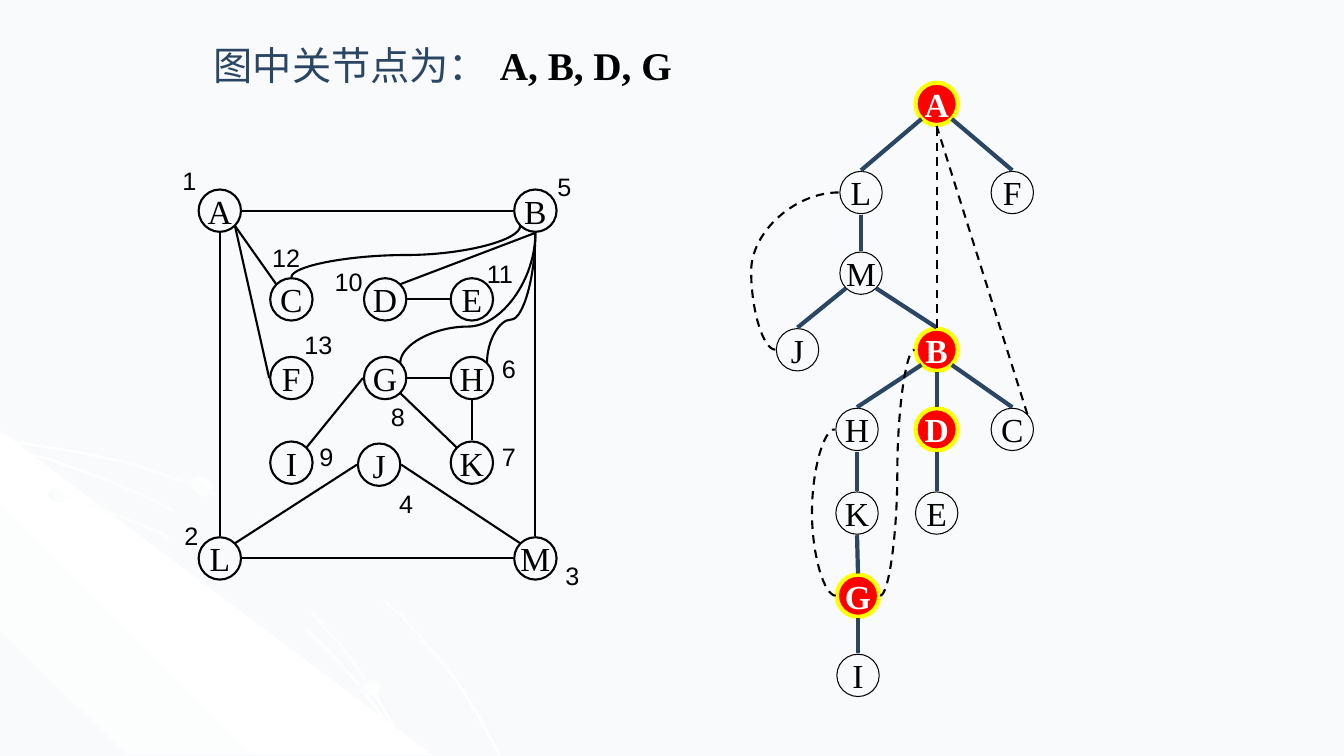
from lxml import etree
from pptx import Presentation
from pptx.dml.color import RGBColor
from pptx.enum.dml import MSO_LINE
from pptx.enum.shapes import MSO_CONNECTOR, MSO_SHAPE
from pptx.enum.text import MSO_ANCHOR, PP_ALIGN
from pptx.oxml.ns import qn
from pptx.util import Inches, Pt

SERIF, SANS = "Times New Roman", "Arial"
BLACK, NAVY, WHITE, MIST = "000000", "2B4663", "FFFFFF", "F9FAFB"
RED, YELLOW = "FF0000", "FFFF00"
DIAMETER = 0.42
REACH, DIAGONAL = 0.22, 0.15
SITES = {"n": (0, -REACH), "s": (0, REACH), "e": (REACH, 0), "w": (-REACH, 0),
         "ne": (DIAGONAL, -DIAGONAL), "nw": (-DIAGONAL, -DIAGONAL),
         "se": (DIAGONAL, DIAGONAL), "sw": (-DIAGONAL, DIAGONAL)}

RIBBONS = [
    [(0, 4.35), (0.37, 4.41), (0.76, 4.47), (1.31, 4.59), (1.82, 4.77), (2.32, 4.97),
     (2.79, 5.21), (3.22, 5.48), (3.63, 5.78), (4, 6.11), (4.33, 6.48), (4.53, 6.73),
     (4.69, 6.98), (4.83, 7.23), (4.96, 7.49)],
    [(0, 4.75), (0.54, 4.88), (1.05, 5.05), (1.56, 5.26), (2.03, 5.49), (2.46, 5.76),
     (2.86, 6.06), (3.23, 6.4), (3.55, 6.76), (3.82, 7.12), (3.94, 7.3), (4.04, 7.49)],
    [(0, 4.42), (0.51, 4.55), (1.01, 4.73), (1.49, 4.93), (1.91, 5.16), (2.33, 5.43),
     (2.72, 5.73), (3.06, 6.03), (3.39, 6.39), (3.58, 6.65), (3.76, 6.93), (3.91, 7.2),
     (4.04, 7.49)],
]
HILL = [(4.29, 7.49), (0, 7.49), (0, 4.27)]
DOTS = [(0.48, 4.83, 0.2, 0.15, 315), (3.56, 6.74, 0.21, 0.16, 45),
        (1.83, 4.73, 0.28, 0.21, 315)]

GRAPH = {"A": (2.18, 2.09), "B": (5.31, 2.09), "L": (2.18, 5.54), "M": (5.31, 5.54),
         "C": (2.89, 2.97), "F": (2.89, 3.75), "I": (2.89, 4.59), "D": (3.82, 2.97),
         "E": (4.68, 2.97), "G": (3.82, 3.75), "H": (4.68, 3.75), "J": (3.76, 4.61),
         "K": (4.68, 4.59)}
GRAPH_EDGES = ["A e B w", "A s L n", "L e M w", "M n B s", "L ne J w", "J e M nw",
               "I ne G w", "A se C nw", "A se F w", "D e E w", "G e H w", "H s K n",
               "G se K nw", "B s D ne"]
GRAPH_CURVES = [("B sw C n", 2.53), ("B s H ne", 3.17), ("B s G ne", 3.24)]
VISIT_ORDER = {"1": (1.71, 1.59), "2": (1.73, 5.11), "3": (5.51, 5.51),
               "4": (3.86, 4.8), "5": (5.43, 1.65), "6": (4.88, 3.46),
               "7": (4.88, 4.33), "8": (3.78, 3.93), "9": (3.07, 4.33),
               "10": (3.22, 2.59), "11": (4.73, 2.51), "12": (2.6, 2.36),
               "13": (2.92, 3.22)}

TREE = {"A": (9.29, 1.03), "B": (9.29, 3.47), "L": (8.54, 1.91), "M": (8.54, 2.71),
        "F": (10.04, 1.91), "J": (7.91, 3.47), "D": (9.29, 4.26), "C": (10.04, 4.26),
        "H": (8.5, 4.26), "K": (8.5, 5.09), "G": (8.51, 5.91), "I": (8.51, 6.7),
        "E": (9.29, 5.09)}
ARTICULATION = "ABDG"
TREE_EDGES = ["J n M sw", "L s M n", "M se B n", "L n A sw", "A se F n", "B sw H n",
              "B s D n", "B se C n", "D s E n", "H s K n", "G s I n", "K s G n"]
BACK_EDGES = ["B n A s", "C ne A s"]
BACK_CURVES = [("J w L w", 7.45), ("G w H w", 8.05), ("G e B w", 8.9)]


def rgb(value):
    return RGBColor.from_string(value)


def fill_gradient(shape, colours, angle):
    shape.shadow.inherit = False
    shape.line.fill.background()
    shape.fill.gradient()
    gradient = shape._element.spPr.find(qn("a:gradFill"))
    stops = gradient.find(qn("a:gsLst"))
    for stop in list(stops):
        stops.remove(stop)
    for i, colour in enumerate(colours):
        position = str(i * 100000 // (len(colours) - 1))
        stop = etree.SubElement(stops, qn("a:gs"), pos=position)
        etree.SubElement(stop, qn("a:srgbClr"), val=colour)
    gradient.find(qn("a:lin")).set("ang", str(angle * 60000))


def add_outline(slide, points, colours, angle):
    corners = [(Inches(x), Inches(y)) for x, y in points]
    builder = slide.shapes.build_freeform(*corners[0])
    builder.add_line_segments(corners[1:], close=True)
    fill_gradient(builder.convert_to_shape(), colours, angle)


def add_ribbon(slide, crest):
    underside = [(max(x - 0.02, 0), min(y + 0.02, 7.49)) for x, y in reversed(crest)]
    add_outline(slide, crest + underside, [WHITE, MIST, WHITE], 45)


def add_backdrop(slide):
    slide.background.fill.solid()
    slide.background.fill.fore_color.rgb = rgb(MIST)
    add_ribbon(slide, RIBBONS[0])
    add_outline(slide, HILL, [MIST, WHITE, MIST], 315)
    for crest in RIBBONS[1:]:
        add_ribbon(slide, crest)
    for x, y, width, height, angle in DOTS:
        dot = slide.shapes.add_shape(MSO_SHAPE.OVAL, Inches(x), Inches(y),
                                     Inches(width), Inches(height))
        fill_gradient(dot, [MIST, WHITE], angle)


def write(shape, text, size, font, colour, bold=False, align=PP_ALIGN.LEFT,
          anchor=MSO_ANCHOR.TOP):
    frame = shape.text_frame
    frame.text = text
    frame.word_wrap = False
    frame.vertical_anchor = anchor
    paragraph = frame.paragraphs[0]
    paragraph.alignment = align
    paragraph.font.size = Pt(size)
    paragraph.font.name = font
    paragraph.font.bold = bold
    paragraph.font.color.rgb = rgb(colour)


def add_label(slide, text, x, y, width, height, *style):
    label = slide.shapes.add_textbox(Inches(x), Inches(y), Inches(width), Inches(height))
    write(label, text, *style)


def add_title(slide, text):
    title = slide.shapes.title
    title.left, title.top = Inches(2.02), Inches(0.36)
    title.width, title.height = Inches(2.92), Inches(0.57)
    write(title, text, 28, SERIF, NAVY)


def add_node(slide, name, centre, weight, critical=False):
    x, y = centre
    node = slide.shapes.add_shape(MSO_SHAPE.OVAL, Inches(x - DIAMETER / 2),
                                  Inches(y - DIAMETER / 2), Inches(DIAMETER),
                                  Inches(DIAMETER))
    node.shadow.inherit = False
    if critical:
        node.fill.solid()
        node.fill.fore_color.rgb = rgb(RED)
    else:
        node.fill.background()
    node.line.color.rgb = rgb(YELLOW if critical else BLACK)
    node.line.width = Pt(3 if critical else weight)
    write(node, name, 24, SERIF, WHITE if critical else BLACK, critical,
          PP_ALIGN.CENTER, MSO_ANCHOR.MIDDLE)


def edge_ends(nodes, edge):
    start, start_site, end, end_site = edge.split()
    return [(nodes[name][0] + SITES[site][0], nodes[name][1] + SITES[site][1])
            for name, site in ((start, start_site), (end, end_site))]


def add_link(slide, kind, start, end, colour, weight, dashed):
    link = slide.shapes.add_connector(kind, *[Inches(v) for v in (*start, *end)])
    link.line.color.rgb = rgb(colour)
    link.line.width = Pt(weight)
    if dashed:
        link.line.dash_style = MSO_LINE.DASH
    etree.SubElement(link._element.spPr, qn("a:effectLst"))
    return link


def add_edge(slide, nodes, edge, colour=BLACK, weight=1.5, dashed=False):
    start, end = edge_ends(nodes, edge)
    add_link(slide, MSO_CONNECTOR.STRAIGHT, start, end, colour, weight, dashed)


def add_curve(slide, nodes, edge, bend, downward=False, dashed=False):
    start, end = edge_ends(nodes, edge)
    axis = 1 if downward else 0
    ratio = (bend - start[axis]) / (end[axis] - start[axis])
    if downward:
        mid_x, mid_y = (start[0] + end[0]) / 2, (start[1] + end[1]) / 2
        half_run, half_rise = (end[1] - start[1]) / 2, (start[0] - end[0]) / 2
        start = mid_x - half_run, mid_y - half_rise
        end = mid_x + half_run, mid_y + half_rise
    curve = add_link(slide, MSO_CONNECTOR.CURVE, start, end, BLACK, 1.5, dashed)
    properties = curve._element.spPr
    if downward:
        properties.find(qn("a:xfrm")).set("rot", str(90 * 60000))
    guides = properties.find(qn("a:prstGeom")).find(qn("a:avLst"))
    etree.SubElement(guides, qn("a:gd"), name="adj1", fmla=f"val {round(ratio * 100000)}")


def add_graph(slide):
    for name, centre in GRAPH.items():
        add_node(slide, name, centre, 1.5)
    for edge in GRAPH_EDGES:
        add_edge(slide, GRAPH, edge)
    for edge, bend in GRAPH_CURVES:
        add_curve(slide, GRAPH, edge, bend, downward=True)
    for number, (x, y) in VISIT_ORDER.items():
        add_label(slide, number, x, y, 0.2 + 0.14 * len(number), 0.4, 18, SANS, BLACK)


def add_tree(slide):
    for name, centre in TREE.items():
        add_node(slide, name, centre, 0.75, name in ARTICULATION)
    for edge in TREE_EDGES:
        add_edge(slide, TREE, edge, NAVY, 3)
    for edge in BACK_EDGES:
        add_edge(slide, TREE, edge, dashed=True)
    for edge, bend in BACK_CURVES:
        add_curve(slide, TREE, edge, bend, dashed=True)


def main():
    deck = Presentation()
    deck.slide_width, deck.slide_height = Inches(13.33), Inches(7.5)
    slide = deck.slides.add_slide(deck.slide_layouts[5])
    add_backdrop(slide)
    add_title(slide, "图中关节点为：")
    add_graph(slide)
    add_label(slide, "A, B, D, G", 4.86, 0.36, 1.91, 0.57, 28, SERIF, BLACK, True)
    add_tree(slide)
    deck.save("out.pptx")


if __name__ == "__main__":
    main()
